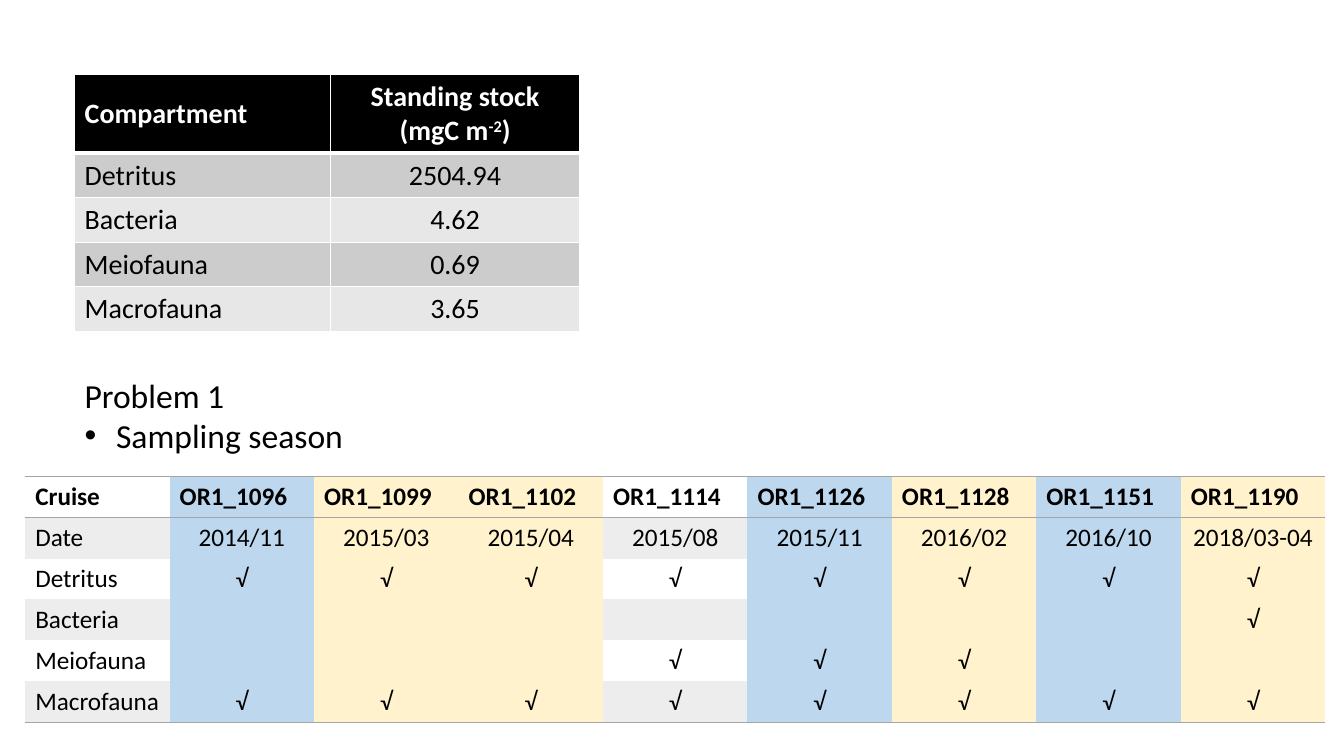
from dataclasses import dataclass
from typing import Optional

import lxml.etree
import pptx
import pptx.dml.color
import pptx.enum.text
import pptx.oxml.ns
import pptx.table
import pptx.util

Pt = pptx.util.Pt
PP_ALIGN = pptx.enum.text.PP_ALIGN
MSO_ANCHOR = pptx.enum.text.MSO_ANCHOR


@dataclass(frozen=True)
class Theme:
    font: str = "Calibri"
    text: str = "000000"
    inverse: str = "FFFFFF"
    header: str = "000000"
    dark_band: str = "CCCCCC"
    light_band: str = "E7E7E7"
    autumn: str = "BDD7EE"
    spring: str = "FFF2CC"
    grey_band: str = "EDEDED"
    rule: str = "A5A5A5"
    stock_size: float = 20
    cruise_size: float = 18
    problem_size: float = 24


@dataclass(frozen=True)
class Border:
    color: str
    width: float = 1


@dataclass(frozen=True)
class CellStyle:
    size: float
    color: str
    bold: bool
    centered: bool
    anchor: MSO_ANCHOR
    fill: Optional[str]
    sides: Optional[Border]
    top: Optional[Border]
    bottom: Optional[Border]


@dataclass(frozen=True)
class Grid:
    left: float
    top: float
    columns: list[float]
    rows: list[float]


@dataclass(frozen=True)
class Cruise:
    name: str
    date: str
    sampled: str
    fill: Optional[str]


THEME = Theme()
STOCK_GRID = Grid(53.3, 53.3, [182.9, 177.8], [54.7] + [31.8] * 4)
CRUISE_GRID = Grid(18, 340.6, [103.2] * 9, [29.2] * 6)
STOCKS = [
    ("Detritus", "2504.94"),
    ("Bacteria", "4.62"),
    ("Meiofauna", "0.69"),
    ("Macrofauna", "3.65"),
]
COMPARTMENTS = [name for name, _ in STOCKS]
CRUISES = [
    Cruise("OR1_1096", "2014/11", "Detritus Macrofauna", THEME.autumn),
    Cruise("OR1_1099", "2015/03", "Detritus Macrofauna", THEME.spring),
    Cruise("OR1_1102", "2015/04", "Detritus Macrofauna", THEME.spring),
    Cruise("OR1_1114", "2015/08", "Detritus Meiofauna Macrofauna", None),
    Cruise("OR1_1126", "2015/11", "Detritus Meiofauna Macrofauna", THEME.autumn),
    Cruise("OR1_1128", "2016/02", "Detritus Meiofauna Macrofauna", THEME.spring),
    Cruise("OR1_1151", "2016/10", "Detritus Macrofauna", THEME.autumn),
    Cruise("OR1_1190", "2018/03-04", "Detritus Bacteria Macrofauna", THEME.spring),
]


def rgb(color: str) -> pptx.dml.color.RGBColor:
    return pptx.dml.color.RGBColor.from_string(color)


def format_font(font, size: float, color: str, bold: bool = False) -> None:
    font.name = THEME.font
    font.size = Pt(size)
    font.bold = bold
    font.color.rgb = rgb(color)


def add_border(cell: pptx.table._Cell, tag: str, border: Optional[Border]) -> None:
    """Append one edge; the edges must come as lnL, lnR, lnT, lnB."""
    qn = pptx.oxml.ns.qn
    line = lxml.etree.SubElement(cell._tc.get_or_add_tcPr(), qn(tag))
    if border is None:
        line.set("w", "0")
        lxml.etree.SubElement(line, qn("a:noFill"))
        return
    line.set("w", str(int(Pt(border.width))))
    fill = lxml.etree.SubElement(line, qn("a:solidFill"))
    lxml.etree.SubElement(fill, qn("a:srgbClr")).set("val", border.color)


def style_cell(cell: pptx.table._Cell, style: CellStyle) -> None:
    edges = {"a:lnL": style.sides, "a:lnR": style.sides,
             "a:lnT": style.top, "a:lnB": style.bottom}
    for tag, border in edges.items():
        add_border(cell, tag, border)
    if style.fill is None:
        cell.fill.background()
    else:
        cell.fill.solid()
        cell.fill.fore_color.rgb = rgb(style.fill)
    cell.vertical_anchor = style.anchor
    for para in cell.text_frame.paragraphs:
        para.alignment = PP_ALIGN.CENTER if style.centered else PP_ALIGN.LEFT
        for font in [para.font] + [span.font for span in para.runs]:
            format_font(font, style.size, style.color, style.bold)


def add_grid(page, grid: Grid) -> pptx.table.Table:
    frame = page.shapes.add_table(
        len(grid.rows), len(grid.columns), Pt(grid.left), Pt(grid.top),
        Pt(sum(grid.columns)), Pt(sum(grid.rows)))
    table = frame.table
    table.first_row = False
    table.horz_banding = False
    for column, width in zip(table.columns, grid.columns):
        column.width = Pt(width)
    for row, height in zip(table.rows, grid.rows):
        row.height = Pt(height)
    return table


def add_stock_table(page) -> None:
    table = add_grid(page, STOCK_GRID)
    thin, thick = Border(THEME.inverse), Border(THEME.inverse, 3)
    for r, values in enumerate([("Compartment", "Standing stock (mgC m"), *STOCKS]):
        is_header = r == 0
        band = THEME.dark_band if r % 2 else THEME.light_band
        for c, value in enumerate(values):
            cell = table.cell(r, c)
            cell.text_frame.text = value
            if is_header and c == 1:
                para = cell.text_frame.paragraphs[0]
                exponent, closing = para.add_run(), para.add_run()
                exponent.text, closing.text = "-2", ")"
                exponent._r.get_or_add_rPr().set("baseline", "30000")
            style_cell(cell, CellStyle(
                THEME.stock_size, THEME.inverse if is_header else THEME.text,
                is_header, c == 1, MSO_ANCHOR.MIDDLE,
                THEME.header if is_header else band,
                thin, thick if r == 1 else thin, thick if is_header else thin))


def add_cruise_table(page) -> None:
    table = add_grid(page, CRUISE_GRID)
    rule = Border(THEME.rule)
    columns = [["Cruise", "Date", *COMPARTMENTS]]
    for cruise in CRUISES:
        marks = ["√" if name in cruise.sampled.split() else "" for name in COMPARTMENTS]
        columns.append([cruise.name, cruise.date, *marks])
    fills = [None] + [cruise.fill for cruise in CRUISES]
    last = len(CRUISE_GRID.rows) - 1
    for c, (values, fill) in enumerate(zip(columns, fills)):
        for r, value in enumerate(values):
            cell = table.cell(r, c)
            cell.text_frame.text = value
            band = THEME.grey_band if r % 2 else None
            style_cell(cell, CellStyle(
                THEME.cruise_size, THEME.text, r == 0, r > 0 and c > 0,
                MSO_ANCHOR.TOP, fill or band, None,
                rule if r in (0, 1) else None, rule if r in (0, last) else None))


def add_problem(page) -> None:
    box = page.shapes.add_textbox(Pt(53.3), Pt(264.2), Pt(440.6), Pt(94.3))
    box.text_frame.word_wrap = True
    box.text_frame.text = "Problem 1\nSampling season"
    for para in box.text_frame.paragraphs:
        format_font(para.runs[0].font, THEME.problem_size, THEME.text)
    properties = box.text_frame.paragraphs[1]._p.get_or_add_pPr()
    properties.set("marL", str(int(Pt(22.5))))
    properties.set("indent", str(int(Pt(-22.5))))
    qn = pptx.oxml.ns.qn
    lxml.etree.SubElement(properties, qn("a:buFont")).set("typeface", "Arial")
    lxml.etree.SubElement(properties, qn("a:buChar")).set("char", "•")


def main() -> None:
    deck = pptx.Presentation()
    deck.slide_width, deck.slide_height = Pt(960), Pt(540)
    page = deck.slides.add_slide(deck.slide_layouts[6])
    add_stock_table(page)
    add_problem(page)
    add_cruise_table(page)
    deck.save("out.pptx")


if __name__ == "__main__":
    main()
